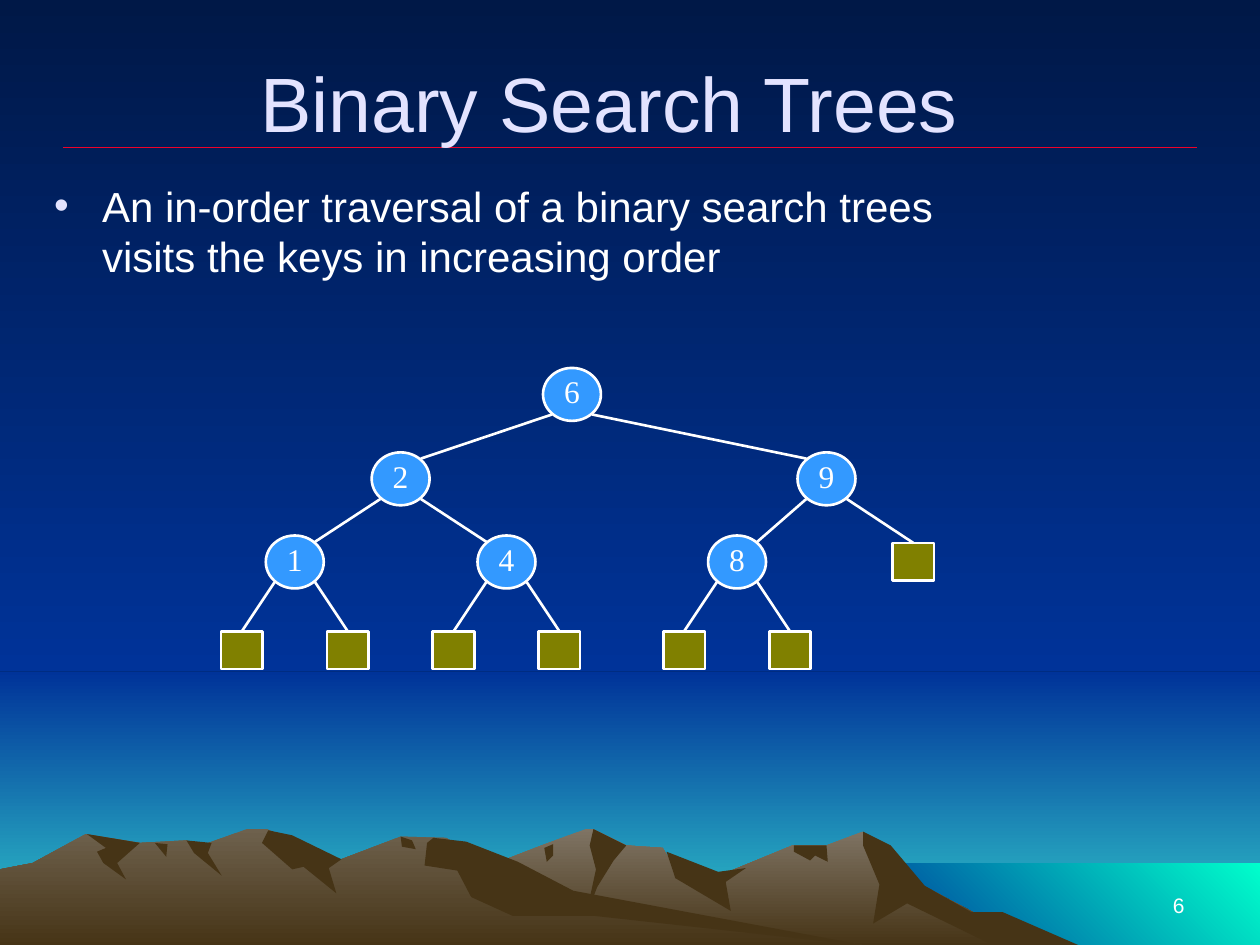
from dataclasses import dataclass
from typing import Optional

from lxml import etree
from pptx import Presentation
from pptx.dml.color import RGBColor
from pptx.enum import shapes, text
from pptx.oxml import ns
from pptx.util import Inches, Pt


@dataclass(frozen=True)
class Theme:
    """Colours, fonts, type sizes and line widths of the slide."""
    night: str = "001847"
    dusk: str = "003399"
    horizon: str = "33CCCC"
    sea: str = "00FFCC"
    far_rock: str = "7F7464"
    near_rock: str = "6E614D"
    shade: str = "463416"
    rule: str = "EF0129"
    title: str = "E3E3FF"
    white: str = "FFFFFF"
    key: str = "3399FF"
    leaf: str = "808000"
    sans: str = "Arial"
    serif: str = "Times New Roman"
    title_size: int = 44
    body_size: int = 24
    key_size: int = 18
    number_size: int = 12
    rule_width: float = 1
    edge_width: float = 1.5


@dataclass(frozen=True)
class Range:
    """Mountain range: skyline and shadows in hundredths of an inch."""
    light: str
    skyline: tuple
    shadows: dict


@dataclass(frozen=True)
class Node:
    """Tree node at x inches from the tree's left; a leaf has no key."""
    x: float
    key: str = ""
    left: Optional["Node"] = None
    right: Optional["Node"] = None


def twig(x, key):
    """Return a keyed node with a leaf at equal distance on each side."""
    return Node(x, key, Node(x - LEAF_SPREAD), Node(x + LEAF_SPREAD))


THEME = Theme()
LEVELS = (0.21, 0.88, 1.54, 2.24)
LEAF_SPREAD = 0.42
EDGE_OFFSET = 0.16
TREE = Node(2.79, "6",
            left=Node(1.43, "2", twig(0.59, "1"), twig(2.27, "4")),
            right=Node(4.81, "9", twig(4.1, "8"), Node(5.5)))

MOUNTAIN_FOOT = 93
FAR_RANGE = Range(
    THEME.far_rock,
    ((258, 93), (327, 51), (394, 27), (430, 13), (465, 0), (471, 0), (497, 13), (526, 15),
     (536, 32), (566, 39), (629, 13), (656, 13), (685, 2), (723, 40), (778, 69), (821, 93)),
    {"east slope": ((685, 2), (707, 13), (734, 45), (771, 66), (796, 66), (858, 93),
                    (792, 94), (720, 59), (693, 75), (698, 44), (685, 13)),
     "summit cleft": ((471, 0), (497, 13), (487, 25), (474, 46), (465, 69), (473, 32), (468, 13)),
     "middle hollow": ((529, 18), (570, 34), (592, 31), (576, 42), (580, 65), (536, 39)),
     "east notch": ((630, 13), (656, 13), (657, 26), (647, 21), (643, 25), (630, 18)),
     "west notch": ((432, 15), (439, 12), (439, 21), (434, 26))})
NEAR_RANGE = Range(
    THEME.near_rock,
    ((0, 93), (0, 32), (26, 27), (68, 4), (111, 11), (148, 9), (160, 13), (196, 0), (212, 0),
     (223, 5), (236, 23), (271, 24), (318, 6), (354, 7), (432, 54), (690, 93)),
    {"long east slope": ((339, 11), (344, 7), (370, 10), (411, 26), (455, 49), (690, 93),
                         (472, 69), (407, 69), (374, 54), (363, 33), (337, 29)),
     "summit slope": ((213, 1), (232, 5), (271, 24), (261, 31), (267, 51), (241, 30),
                      (232, 32), (208, 11)),
     "west slope": ((69, 4), (111, 11), (93, 27), (100, 40), (82, 27), (77, 18), (84, 15)),
     "middle gully": ((148, 9), (168, 11), (165, 19), (176, 37), (154, 19)),
     "west notch": ((123, 11), (133, 12), (132, 22)),
     "east notch": ((318, 6), (327, 9), (330, 16), (319, 14))})


def rgb(color):
    """Return the colour object of a hexadecimal name."""
    return RGBColor.from_string(color)


def paint(fill, *colors, angle=270):
    """Fill with one colour or a linear gradient of two."""
    if len(colors) == 1:
        fill.solid()
        fill.fore_color.rgb = rgb(colors[0])
    else:
        fill.gradient()
        fill.gradient_angle = angle
        for stop, color in zip(fill.gradient_stops, colors):
            stop.color.rgb = rgb(color)


def write(frame, words, size, color, font, align, anchor):
    """Set one formatted paragraph and return it."""
    frame.text = words
    frame.auto_size = text.MSO_AUTO_SIZE.NONE
    frame.vertical_anchor = anchor
    paragraph = frame.paragraphs[0]
    paragraph.alignment = align
    run_font = paragraph.runs[0].font
    run_font.size, run_font.name, run_font.color.rgb = Pt(size), font, rgb(color)
    return paragraph


def add_filled(slide, preset, box, *colors, angle=270):
    """Add a preset shape without outline or shadow."""
    shape = slide.shapes.add_shape(preset, *map(Inches, box))
    shape.shadow.inherit = False
    paint(shape.fill, *colors, angle=angle)
    shape.line.fill.background()
    return shape


def add_line(slide, start, end, color, width):
    """Add a straight line that takes nothing from the theme's line style."""
    line = slide.shapes.add_connector(
        shapes.MSO_CONNECTOR.STRAIGHT, *map(Inches, (*start, *end)))
    line.line.color.rgb, line.line.width = rgb(color), Pt(width)
    etree.SubElement(line._element.spPr, ns.qn("a:effectLst"))
    line._element.remove(line._element.find(ns.qn("p:style")))
    return line


def add_rock(slide, box, outline, *colors):
    """Draw a closed outline measured from the corner of a box."""
    builder = slide.shapes.build_freeform(*outline[0], scale=Inches(0.01))
    builder.add_line_segments(outline[1:], close=True)
    rock = builder.convert_to_shape(Inches(box[0]), Inches(box[1]))
    rock.shadow.inherit = False
    paint(rock.fill, *colors)
    rock.line.fill.background()


def add_sky_and_sea(slide, box):
    """Draw the night sky, the glow above the horizon and the sea."""
    left, top, width, height = box
    horizon, shore, sea_level = 5.33, 6.83, 6.85
    rectangle = shapes.MSO_SHAPE.RECTANGLE
    paint(slide.background.fill, THEME.night, THEME.dusk)
    add_filled(slide, rectangle, (left, top, width, horizon), THEME.night, THEME.dusk)
    add_filled(slide, rectangle, (left, top + horizon, width, height - horizon),
               THEME.dusk, THEME.horizon)
    add_filled(slide, rectangle, (left + shore, top + sea_level, width - shore,
                                  height - sea_level), THEME.dusk, THEME.sea, angle=45)


def add_mountains(slide, box):
    """Draw each range from back to front, with its shadows on it."""
    for mountains in (FAR_RANGE, NEAR_RANGE):
        add_rock(slide, box, mountains.skyline, mountains.light, THEME.shade)
        for shadow in mountains.shadows.values():
            add_rock(slide, box, shadow, THEME.shade)


def fill_placeholder(slide, placeholder, box, words, *style):
    """Move a placeholder to the front of its box and write in it."""
    placeholder.left, placeholder.top, placeholder.width, placeholder.height = map(Inches, box)
    slide.shapes._spTree.append(placeholder._element)
    return write(placeholder.text_frame, words, *style)


def add_title(slide, box):
    """Fill the title placeholder."""
    fill_placeholder(slide, slide.shapes.title, box, "Binary Search Trees", THEME.title_size,
                     THEME.title, THEME.sans, text.PP_ALIGN.CENTER, text.MSO_ANCHOR.MIDDLE)


def add_statement(slide, box):
    """Fill the body placeholder with its bullet."""
    statement = fill_placeholder(
        slide, slide.placeholders[1], box,
        "An in-order traversal of a binary search trees visits the keys in increasing order",
        THEME.body_size, THEME.white, THEME.sans, text.PP_ALIGN.LEFT, text.MSO_ANCHOR.TOP)
    properties, indent = statement._p.get_or_add_pPr(), Inches(0.38)
    properties.set("marL", str(indent))
    properties.set("indent", str(-indent))
    bullet_color = etree.SubElement(properties, ns.qn("a:buClr"))
    etree.SubElement(bullet_color, ns.qn("a:srgbClr"), val=THEME.title)
    etree.SubElement(properties, ns.qn("a:buFont"), typeface=THEME.sans)
    etree.SubElement(properties, ns.qn("a:buChar"), char="•")
    statement.space_before = Pt(0)


def add_vertex(slide, x, y, key):
    """Draw a keyed circle or a leaf square around a centre."""
    preset, width, height, color = (
        (shapes.MSO_SHAPE.OVAL, 0.46, 0.42, THEME.key) if key
        else (shapes.MSO_SHAPE.RECTANGLE, 0.33, 0.3, THEME.leaf))
    vertex = add_filled(slide, preset, (x - width / 2, y - height / 2, width, height), color)
    vertex.line.color.rgb, vertex.line.width = rgb(THEME.white), Pt(THEME.edge_width)
    if key:
        frame = vertex.text_frame
        write(frame, key, THEME.key_size, THEME.white, THEME.serif,
              text.PP_ALIGN.CENTER, text.MSO_ANCHOR.MIDDLE)
        frame.margin_left = frame.margin_top = frame.margin_right = 0
        frame.margin_bottom = Inches(0.05)
        frame.word_wrap = False
    return vertex


def add_tree(slide, box, node, level=0):
    """Draw a node, its subtrees and the edges to them; return its shape."""
    x, y = box[0] + node.x, box[1] + LEVELS[level]
    vertex = add_vertex(slide, x, y, node.key)
    for child, side in ((node.left, -EDGE_OFFSET), (node.right, EDGE_OFFSET)):
        if child:
            child_vertex = add_tree(slide, box, child, level + 1)
            end = box[0] + child.x - side, box[1] + LEVELS[level + 1] - EDGE_OFFSET
            edge = add_line(slide, (x + side, y + EDGE_OFFSET), end,
                            THEME.white, THEME.edge_width)
            if not child.key:
                edge.end_connect(child_vertex, 0)
    return vertex


def add_page_number(slide, box):
    """Write the page number at the lower right."""
    frame = slide.shapes.add_textbox(*map(Inches, box)).text_frame
    write(frame, "6", THEME.number_size, THEME.white, THEME.sans,
          text.PP_ALIGN.RIGHT, text.MSO_ANCHOR.BOTTOM)
    frame.word_wrap = True


def main():
    """Build the slide and save it."""
    deck = Presentation()
    deck.slide_width, deck.slide_height = Inches(10), Inches(7.5)
    slide = deck.slides.add_slide(deck.slide_layouts[1])
    add_sky_and_sea(slide, (0, 0, 10, 7.5))
    add_mountains(slide, (0, 6.58, 10, 0.93))
    add_line(slide, (0.5, 1.17), (9.5, 1.17), THEME.rule, THEME.rule_width)
    add_page_number(slide, (7.17, 6.83, 2.33, 0.5))
    add_title(slide, (1, 0.47, 7.67, 0.68))
    add_statement(slide, (0.33, 1.38, 7.65, 1.75))
    add_tree(slide, (1.75, 2.92, 5.67, 2.39), TREE)
    deck.save("out.pptx")


if __name__ == "__main__":
    main()
